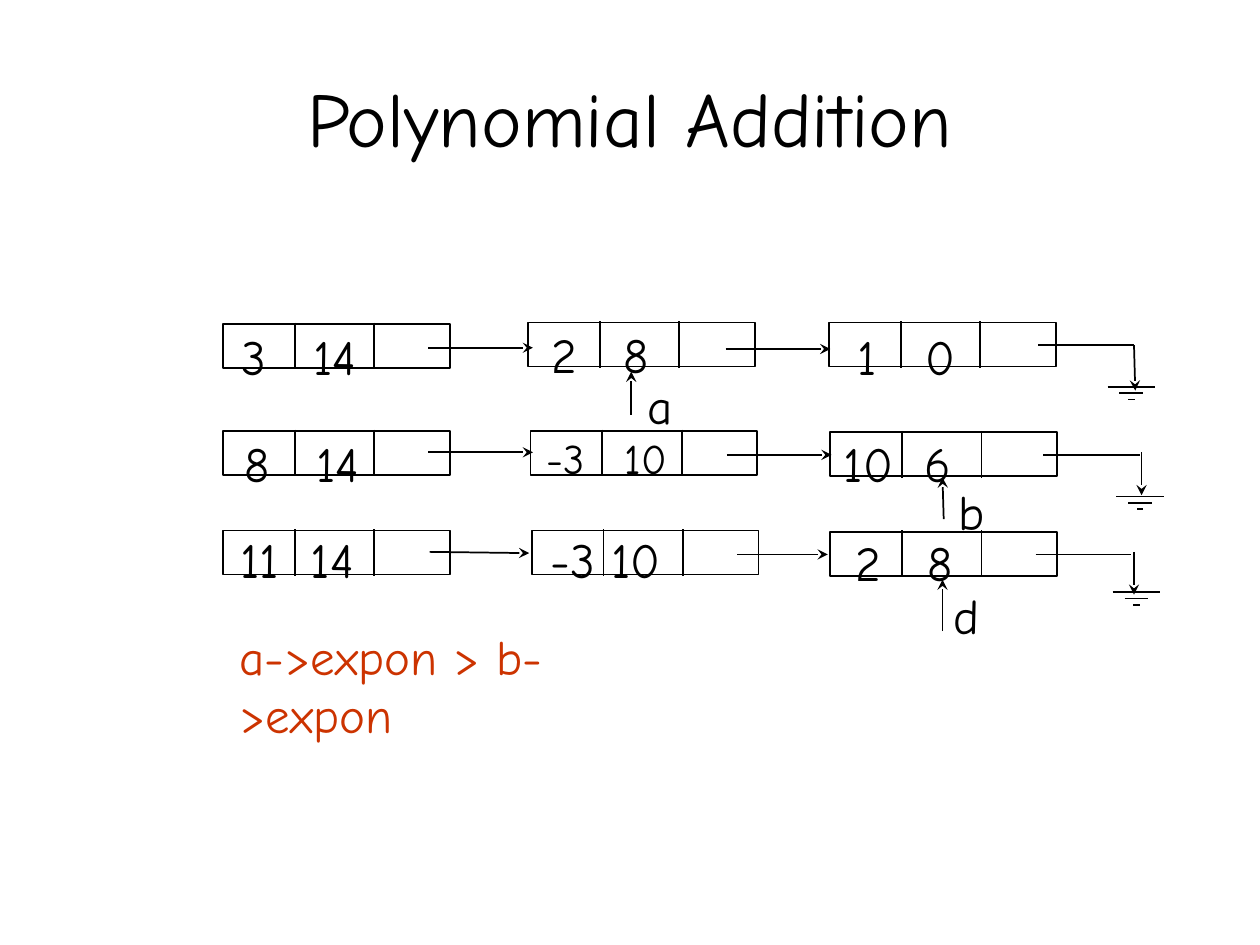
from lxml import etree
from pptx import Presentation
from pptx.dml.color import RGBColor
from pptx.enum.shapes import MSO_CONNECTOR, MSO_SHAPE
from pptx.enum.text import MSO_ANCHOR, MSO_AUTO_SIZE, PP_ALIGN
from pptx.oxml.ns import qn
from pptx.util import Inches, Pt

STRAIGHT = MSO_CONNECTOR.STRAIGHT
RECT = MSO_SHAPE.RECTANGLE
FONT = "Comic Neue"
COLORS = {"ink": "000000", "accent": "CC3300"}
NODE_W, NODE_H = 1.8, 0.35
DIVIDERS = (0.57, 1.2)
GROUND_BARS = (0.38, 0.19, 0.05)
GROUND_STEP = 0.05

# node: text, (left, top) of the box, (left, top, width) of the text, tab stop, size
LISTS = [
    {"nodes": [("3\t14", (1.77, 2.57), (1.82, 2.54, 1.57), 0.57, 28),
               ("2\t8", (4.19, 2.56), (4.28, 2.53, 1.52), 0.57, 28),
               ("1\t0", (6.58, 2.56), (6.71, 2.54, 1.32), 0.54, 28)],
     "links": [(3.4, 2.76, 4.23, 2.76), (5.76, 2.77, 6.59, 2.77)],
     "wire": (8.24, 2.74, 9, 2.74), "drop": (9, 2.74, 9.01, 3.1),
     "ground": (8.98, 3.07)},
    {"nodes": [("8\t14", (1.77, 3.42), (1.84, 3.39, 1.48), 0.57, 28),
               ("-3\t10", (4.21, 3.42), (4.24, 3.38, 1.29), 0.62, 24),
               ("10\t6", (6.59, 3.43), (6.6, 3.39, 1.46), 0.64, 28)],
     "links": [(3.4, 3.59, 4.23, 3.59), (5.77, 3.61, 6.6, 3.61)],
     "wire": (8.28, 3.61, 9.05, 3.61), "drop": (9.06, 3.59, 9.06, 3.93),
     "ground": (9.05, 3.94)},
    {"nodes": [("11\t14", (1.77, 4.21), (1.81, 4.15, 1.58), 0.56, 28),
               ("-3 10", (4.22, 4.21), (4.27, 4.15, 1.58), None, 28),
               ("2\t8", (6.59, 4.22), (6.69, 4.18, 1.58), 0.57, 28)],
     "links": [(3.41, 4.38, 4.2, 4.39), (5.85, 4.4, 6.57, 4.4)],
     "wire": (8.22, 4.4, 8.98, 4.4), "drop": (9, 4.38, 9, 4.72),
     "ground": (9.02, 4.7)},
]
# pointer: name, (left, top, width) of the name, arrow
POINTERS = [
    ("a", (5.04, 2.93, 0.36), (5.01, 3.29, 5.01, 2.95)),
    ("b", (7.51, 3.77, 0.39), (7.49, 4.12, 7.48, 3.79)),
    ("d", (7.47, 4.6, 0.43), (7.48, 5.01, 7.48, 4.6)),
]


def color(name):
    return RGBColor.from_string(COLORS[name])


def add_line(shapes, ends, arrow=False):
    line = shapes.add_connector(STRAIGHT, *(Inches(v) for v in ends))
    line.line.color.rgb = color("ink")
    line.line.width = Pt(1)
    if arrow:
        etree.SubElement(line.line._get_or_add_ln(), qn("a:tailEnd"), type="stealth")
    etree.SubElement(line._element.spPr, qn("a:effectLst"))


def add_text(shapes, text, place, size=28, ink="ink", tab=None):
    left, top, width = place
    box = shapes.add_textbox(Inches(left), Inches(top), Inches(width),
                             Inches(0.57 if size == 28 else 0.51))
    tf = box.text_frame
    tf.word_wrap = True
    tf.auto_size = MSO_AUTO_SIZE.SHAPE_TO_FIT_TEXT
    p = tf.paragraphs[0]
    p.text = text
    if tab:
        tabs = etree.SubElement(p._p.get_or_add_pPr(), qn("a:tabLst"))
        etree.SubElement(tabs, qn("a:tab"), pos=str(Inches(tab)), algn="l")
    style(p, size, ink)


def style(p, size, ink="ink"):
    p.font.name = FONT
    p.font.size = Pt(size)
    p.font.color.rgb = color(ink)


def add_node(shapes, left, top):
    group = shapes.add_group_shape().shapes
    box = group.add_shape(RECT, Inches(left), Inches(top), Inches(NODE_W), Inches(NODE_H))
    box.shadow.inherit = False
    box.fill.background()
    box.line.color.rgb = color("ink")
    box.line.width = Pt(1)
    for dx in DIVIDERS:
        add_line(group, (left + dx, top - 0.01, left + dx, top + NODE_H + 0.01))


def add_ground(shapes, center, top):
    for i, width in enumerate(GROUND_BARS):
        y = top + i * GROUND_STEP
        add_line(shapes, (center - width / 2, y, center + width / 2, y))


def main():
    prs = Presentation()
    prs.slide_width, prs.slide_height = Inches(10), Inches(7.5)
    s = prs.slides.add_slide(prs.slide_layouts[5])
    title = s.shapes.title
    title.left, title.top = Inches(0.5), Inches(0.3)
    title.width, title.height = Inches(9), Inches(1.25)
    title.text_frame.vertical_anchor = MSO_ANCHOR.MIDDLE
    p = title.text_frame.paragraphs[0]
    p.text = "Polynomial Addition"
    p.alignment = PP_ALIGN.CENTER
    style(p, 44)

    for row in LISTS:
        for text, corner, place, tab, size in row["nodes"]:
            add_text(s.shapes, text, place, size, tab=tab)
            add_node(s.shapes, *corner)
        for link in row["links"]:
            add_line(s.shapes, link, arrow=True)
        add_line(s.shapes, row["wire"])
        add_line(s.shapes, row["drop"], arrow=True)
        add_ground(s.shapes, *row["ground"])
    for name, place, arrow in POINTERS:
        add_line(s.shapes, arrow, arrow=True)
        add_text(s.shapes, name, place)
    add_text(s.shapes, "a->expon > b->expon", (1.8, 4.92, 3.78), ink="accent")
    prs.save("out.pptx")


if __name__ == "__main__":
    main()
